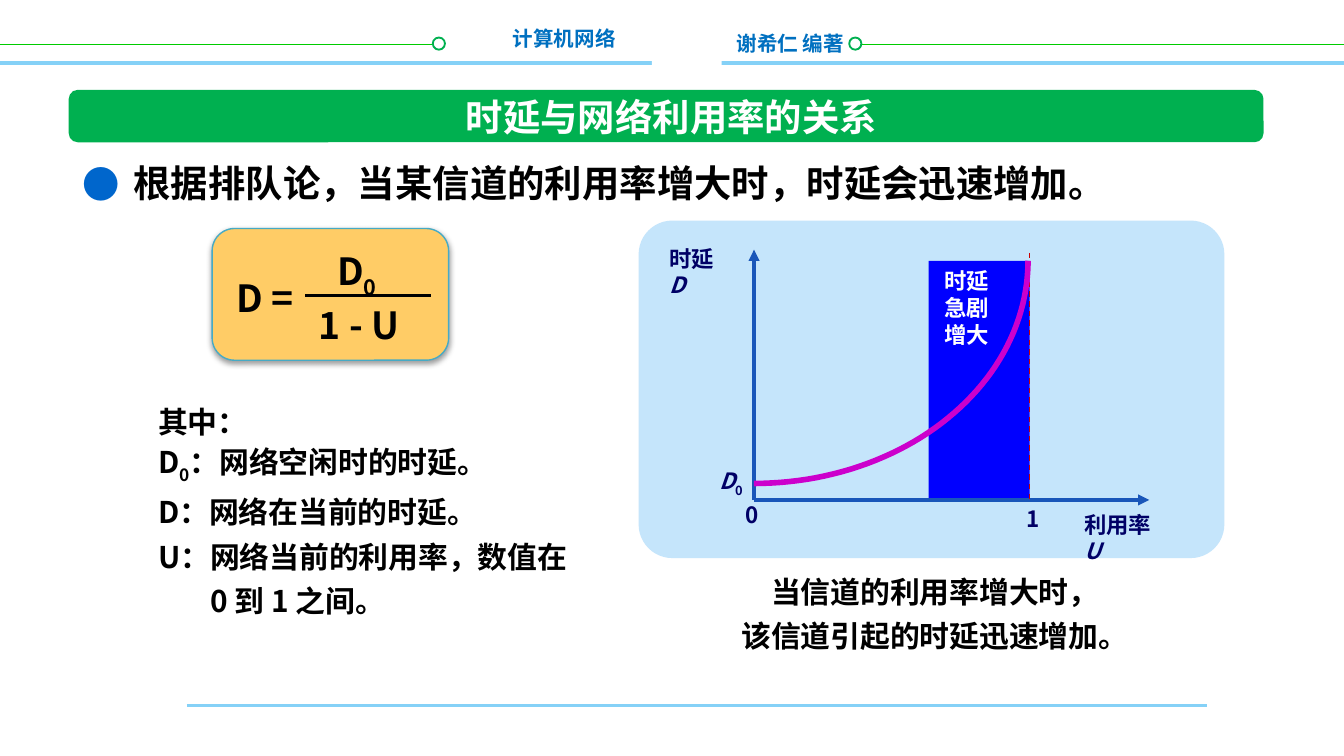
"""Build the slide on delay versus network utilisation."""
from math import cos, pi, sin
from lxml.etree import SubElement
from pptx import Presentation
from pptx.dml.color import RGBColor
from pptx.enum.dml import MSO_LINE
from pptx.enum.shapes import MSO_CONNECTOR, MSO_SHAPE
from pptx.enum.text import MSO_ANCHOR, PP_ALIGN
from pptx.oxml.ns import qn
from pptx.util import Cm, Pt

FONT = "Noto Sans CJK SC"
HUES = {"green": "00CC00", "leaf": "00B050", "sky": "85D1F7", "white": "FFFFFF",
        "blue": "0070C0", "dot": "0066CC", "black": "000000", "gold": "FFCC66",
        "teal": "46AAC5", "pale": "C5E5FB", "zone": "0000FF", "navy": "000066",
        "axis": "1956B9", "red": "CC0000", "pink": "CC00CC"}
LEFT, MID, RIGHT = PP_ALIGN.LEFT, PP_ALIGN.CENTER, PP_ALIGN.RIGHT
RECT, ROUND, OVAL = MSO_SHAPE.RECTANGLE, MSO_SHAPE.ROUNDED_RECTANGLE, MSO_SHAPE.OVAL

TITLE = [[("时延与网络利用率的关系", "")]]
BODY = [[("根据排队论，当某信道的利用率增大时，时延会迅速增加。", "")]]
ZERO = (14.25, 9.45)
TOP, END, PEAK, BASE = 4.72, 19.46, 4.93, 9.14

# from, to, colour, width, style
HEAD = [((0, 0.84), (8.23, 0.84), "green", 1, ""),
        ((16.05, 0.84), (25.4, 0.84), "green", 1, ""),
        ((3.53, 13.34), (22.81, 13.34), "sky", 1.5, ""),
        ((0, 1.19), (25.4, 1.19), "sky", 2, "")]
LINES = [((5.77, 5.59), (8.15, 5.59), "black", 1.5, ""),
         (ZERO, (ZERO[0], TOP), "axis", 2, "arrow"),
         (ZERO, (21.72, ZERO[1]), "axis", 2, "arrow"),
         ((END, 4.78), (END, ZERO[1]), "red", 0.75, "dash")]
SHAPES = [(OVAL, (8.18, 0.71, 0.23, 0.23), "white", "leaf", 1, None),
          (OVAL, (16.05, 0.71, 0.23, 0.23), "white", "leaf", 1, None),
          (RECT, (12.32, 0.36, 1.32, 1.3), "white", None, 0, None),
          (ROUND, (1.3, 1.7, 22.58, 0.99), "leaf", None, 0, 0.17),
          (ROUND, (12.07, 4.17, 11.07, 6.38), "pale", None, 0, 0.1),
          (RECT, (17.55, PEAK, END - 17.55, ZERO[1] - PEAK), "zone", None, 0, None),
          (ROUND, (4.01, 4.32, 4.47, 2.49), "gold", "teal", 0.75, 0.17)]
# place, size, colour, alignment, line pitch, fill, paragraphs of (text, style)
TEXTS = [
    ((13.67, 0.46, 2.95, 0.74), 11, "blue", LEFT, 0, None, [[("谢希仁 编著", "")]]),
    ((9.1, 0.36, 2.79, 0.74), 11, "blue", RIGHT, 0, None, [[("计算机网络", "")]]),
    ((2.74, 7.34, 8.59, 4.52), 16, "black", LEFT, 24, None, [
        [("其中：", "")],
        [("D", ""), ("0", "sub"), ("：网络空闲时的时延。", "")],
        [("D：网络在当前的时延。", "")],
        [("U：网络当前的利用率，数值在 0 到 1 之间。", "")]]),
    ((4.22, 5.08, 2.06, 1.12), 20, "black", LEFT, 0, "gold", [[("D =", "")]]),
    ((6.12, 4.57, 1.73, 1.12), 20, "black", LEFT, 0, "gold", [[("D", ""), ("0", "sub")]]),
    ((5.77, 5.59, 2.39, 1.12), 20, "black", LEFT, 0, "gold", [[("1 - U", "")]]),
    ((12.4, 4.5, 1.83, 0.76), 12, "navy", LEFT, 0, None,
     [[("时延", ""), ("", "break"), ("D", "slant")]]),
    ((20.24, 9.53, 2.26, 0.76), 12, "navy", LEFT, 0, None,
     [[("利用率", ""), ("", "break"), ("U", "slant")]]),
    ((19.15, 9.42, 0.79, 0.76), 12, "navy", LEFT, 0, None, [[("1", "")]]),
    ((13.84, 9.35, 0.79, 0.76), 12, "navy", LEFT, 0, None, [[("0", "")]]),
    ((13.34, 8.71, 1.02, 0.76), 12, "navy", LEFT, 0, None, [[("D", "slant"), ("0", "sub")]]),
    ((17.6, PEAK, 1.45, 1.78), 12, "white", LEFT, 0, None, [[("时延急剧增大", "")]]),
    ((12.4, 10.54, 10.54, 1.96), 16, "black", MID, 24, None,
     [[("当信道的利用率增大时，", "")], [("该信道引起的时延迅速增加。", "")]]),
]


def hue(name):
    return RGBColor.from_string(HUES[name])


def paint(fill, name):
    if name:
        fill.solid()
        fill.fore_color.rgb = hue(name)
    else:
        fill.background()


def stroke(line, name, width):
    paint(line.fill, name)
    if name:
        line.width = Pt(width)


def place(shape, box):
    shape.left, shape.top, shape.width, shape.height = [Cm(v) for v in box]


def write(frame, paras, size, ink, align, pitch=0):
    frame.word_wrap = True
    for num, runs in enumerate(paras):
        para = frame.add_paragraph() if num else frame.paragraphs[0]
        para.alignment = align
        para.space_before = Pt(0)
        if pitch:
            para.line_spacing = Pt(pitch)
        for text, style in runs:
            if style == "break":
                para.add_line_break()
                continue
            run = para.add_run()
            run.text = text
            font = run.font
            font.size, font.bold, font.name = Pt(size), True, FONT
            font.color.rgb = hue(ink)
            props = run._r.get_or_add_rPr()
            SubElement(props, qn("a:ea"), typeface=FONT)
            if style == "slant":
                font.italic = True
            if style == "sub":
                props.set("baseline", "-25000")


def hang(para, depth):
    props = para._p.get_or_add_pPr()
    props.set("marL", str(Cm(depth)))
    props.set("indent", str(-Cm(depth)))
    return props


def link(shapes, start, end, ink, width, style):
    ends = [Cm(v) for v in start + end]
    line = shapes.add_connector(MSO_CONNECTOR.STRAIGHT, *ends)
    stroke(line.line, ink, width)
    if style == "dash":
        line.line.dash_style = MSO_LINE.DASH
    if style == "arrow":
        SubElement(line.line._get_or_add_ln(), qn("a:tailEnd"), type="triangle")
    SubElement(line._element.spPr, qn("a:effectLst"))


def shade(shape):
    glow = SubElement(shape._element.spPr.find(qn("a:effectLst")), qn("a:outerShdw"),
                      blurRad=str(Pt(3.1)), dist=str(Pt(1.6)), dir="5400000", rotWithShape="0")
    tint = SubElement(glow, qn("a:srgbClr"), val=HUES["black"])
    SubElement(tint, qn("a:alpha"), val="38000")


def curve(shapes, steps=48):
    wide, high = 5.18, BASE - PEAK
    turns = [pi / 2 * n / steps for n in range(steps + 1)]
    spots = [(Cm(ZERO[0] + wide * sin(t)), Cm(PEAK + high * cos(t))) for t in turns]
    pen = shapes.build_freeform(*spots[0])
    pen.add_line_segments(spots[1:], close=False)
    arc = pen.convert_to_shape()
    arc.shadow.inherit = False
    arc.fill.background()
    stroke(arc.line, "pink", 3)


def main():
    deck = Presentation()
    deck.slide_width, deck.slide_height = Cm(25.4), Cm(14.29)
    slide = deck.slides.add_slide(deck.slide_layouts[1])
    shapes = slide.shapes
    title, body = slide.placeholders
    for item in HEAD:
        link(shapes, *item)
    for kind, box, fill, edge, width, bend in SHAPES:
        shape = shapes.add_shape(kind, *[Cm(v) for v in box])
        shape.shadow.inherit = False
        paint(shape.fill, fill)
        stroke(shape.line, edge, width)
        if bend:
            shape.adjustments[0] = bend
    shade(shape)

    place(title, (3.48, 1.7, 18.42, 0.99))
    write(title.text_frame, TITLE, 20, "white", MID)
    title.text_frame.vertical_anchor = MSO_ANCHOR.MIDDLE
    title._element.getparent().append(title._element)
    place(body, (1.3, 2.69, 22.58, 9.42))
    write(body.text_frame, BODY, 20, "black", LEFT, 30)
    props = hang(body.text_frame.paragraphs[0], 0.97)
    SubElement(SubElement(props, qn("a:buClr")), qn("a:srgbClr"), val=HUES["dot"])
    SubElement(props, qn("a:buFont"), typeface=FONT)
    SubElement(props, qn("a:buChar"), char="●")

    for box, size, ink, align, pitch, fill, paras in TEXTS:
        area = shapes.add_textbox(*[Cm(v) for v in box])
        paint(area.fill, fill)
        write(area.text_frame, paras, size, ink, align, pitch)
        if len(paras) == 4:
            hang(area.text_frame.paragraphs[-1], 0.99)
    for item in LINES:
        link(shapes, *item)
    curve(shapes)
    deck.save("out.pptx")


if __name__ == "__main__":
    main()
